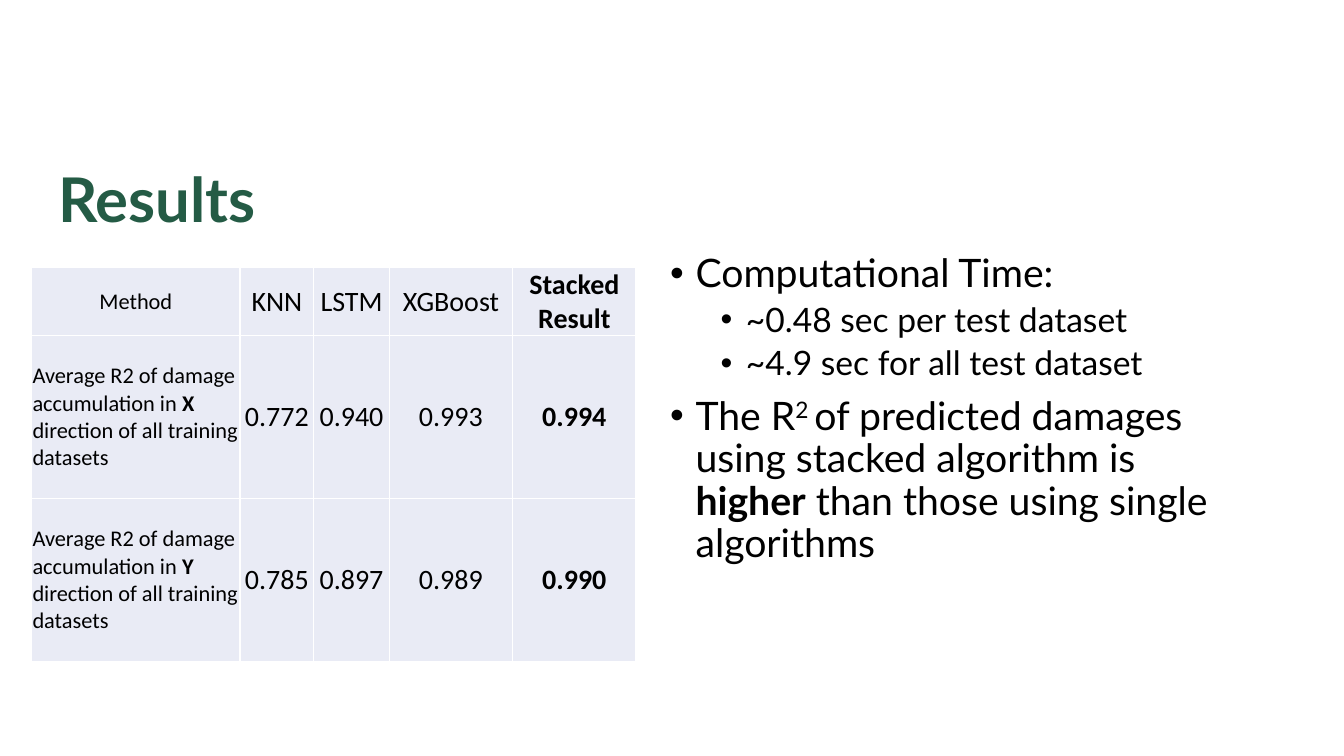
from lxml.etree import SubElement
from pptx import Presentation
from pptx.dml.color import RGBColor
from pptx.enum.text import MSO_ANCHOR as Anchor, PP_ALIGN as Align
from pptx.oxml.ns import qn
from pptx.util import Cm, Pt

BOLD = {"bold": True}


def color(hex_string):
    return RGBColor.from_string(hex_string)


def set_attributes(target, values):
    for name, value in values.items():
        setattr(target, name, value)


class ResultsSlide:
    GREEN, BLACK, WHITE, PALE = "245B45", "000000", "FFFFFF", "E9EBF5"
    TEXT_FONT, TABLE_FONT = "Lato", "Calibri"
    # Per level: font size, left margin in cm, space before
    LEVELS = [(28, 0.64, 10), (24, 1.91, 5)]
    HANGING = 0.64

    def __init__(self, presentation):
        self.slide = presentation.slides.add_slide(presentation.slide_layouts[6])

    def add_runs(self, paragraph, runs, font, size, hex_string):
        """Add (text, format) pairs; the format may hold a baseline in percent."""
        for text, extra in runs:
            run = paragraph.add_run()
            run.text = text
            values = {"name": font, "size": Pt(size), "bold": False, **extra}
            baseline = values.pop("baseline", 0)
            set_attributes(run.font, values)
            run.font.color.rgb = color(hex_string)
            if baseline:
                run.font._element.set("baseline", str(baseline * 1000))

    def add_text_frame(self, left, top, width, height, anchor):
        box = self.slide.shapes.add_textbox(Cm(left), Cm(top), Cm(width), Cm(height))
        set_attributes(box.text_frame, {"word_wrap": True, "vertical_anchor": anchor})
        return box.text_frame

    def add_title(self, text, *bounds):
        paragraph = self.add_text_frame(*bounds, Anchor.MIDDLE).paragraphs[0]
        paragraph.line_spacing = 0.9
        self.add_runs(paragraph, [(text, BOLD)], self.TEXT_FONT, 44, self.GREEN)

    def add_bullets(self, items, *bounds):
        frame = self.add_text_frame(*bounds, Anchor.TOP)
        for index, (level, runs) in enumerate(items):
            paragraph = frame.add_paragraph() if index else frame.paragraphs[0]
            size, margin, space = self.LEVELS[level]
            set_attributes(paragraph, {"level": level, "line_spacing": 0.9,
                                       "space_before": Pt(space)})
            properties = paragraph._p.get_or_add_pPr()
            properties.set("marL", str(Cm(margin)))
            properties.set("indent", str(-Cm(self.HANGING)))
            SubElement(properties, qn("a:buFont"), typeface="Arial")
            SubElement(properties, qn("a:buChar"), char="•")
            self.add_runs(paragraph, runs, self.TEXT_FONT, size, self.BLACK)

    def style_cell(self, cell):
        set_attributes(cell, {"vertical_anchor": Anchor.MIDDLE, "margin_left": Cm(0.02),
                              "margin_right": Cm(0.02), "margin_top": Cm(0.02),
                              "margin_bottom": 0})
        properties = cell._tc.get_or_add_tcPr()
        for side in ("lnL", "lnR", "lnT", "lnB"):
            line = SubElement(properties, qn(f"a:{side}"), w=str(Pt(1)))
            SubElement(SubElement(line, qn("a:solidFill")), qn("a:srgbClr"), val=self.WHITE)
        cell.fill.solid()
        cell.fill.fore_color.rgb = color(self.PALE)

    def add_table(self, rows, left, top, column_widths, row_heights):
        table = self.slide.shapes.add_table(
            len(rows), len(column_widths), Cm(left), Cm(top),
            Cm(sum(column_widths)), Cm(sum(row_heights))).table
        set_attributes(table, {"first_row": False, "horz_banding": False})
        for column, width in zip(table.columns, column_widths):
            column.width = Cm(width)
        for row, height in zip(table.rows, row_heights):
            row.height = Cm(height)
        for row_index, (label, *values) in enumerate(rows):
            cells = [label] + [[(value, {})] for value in values[:-1]] + [[(values[-1], BOLD)]]
            for column_index, runs in enumerate(cells):
                cell = table.cell(row_index, column_index)
                self.style_cell(cell)
                paragraph = cell.text_frame.paragraphs[0]
                is_label = column_index == 0
                paragraph.alignment = Align.LEFT if is_label and row_index else Align.CENTER
                self.add_runs(paragraph, runs, self.TABLE_FONT, 16 if is_label else 20,
                              self.BLACK)


def direction_label(axis):
    return [("Average R2 of damage accumulation in ", {}), (axis, BOLD),
            (" direction of all training datasets", {})]


def main():
    presentation = Presentation()
    set_attributes(presentation, {"slide_width": Cm(33.87), "slide_height": Cm(19.05)})
    results = ResultsSlide(presentation)
    results.add_title("Results", 1.22, 3.94, 29.21, 2.34)
    results.add_bullets([
        (0, [("Computational Time:", {})]),
        (1, [("~0.48 sec per test dataset", {})]),
        (1, [("~4.9 sec for all test dataset", {})]),
        (0, [("The R", {}), ("2 ", {"baseline": 30}),
             ("of predicted damages using stacked algorithm is ", {}),
             ("higher", BOLD), (" than those using single algorithms", {})]),
    ], 16.64, 6.27, 14.4, 10.77)
    results.add_table([
        ([("Method", {})], "KNN", "LSTM", "XGBoost", "Stacked Result"),
        (direction_label("X"), "0.772", "0.940", "0.993", "0.994"),
        (direction_label("Y"), "0.785", "0.897", "0.989", "0.990"),
    ], 0.8, 6.73, [5.25, 1.86, 1.9, 3.11, 3.11], [1.63, 4.11, 4.11])
    presentation.save("out.pptx")


if __name__ == "__main__":
    main()
